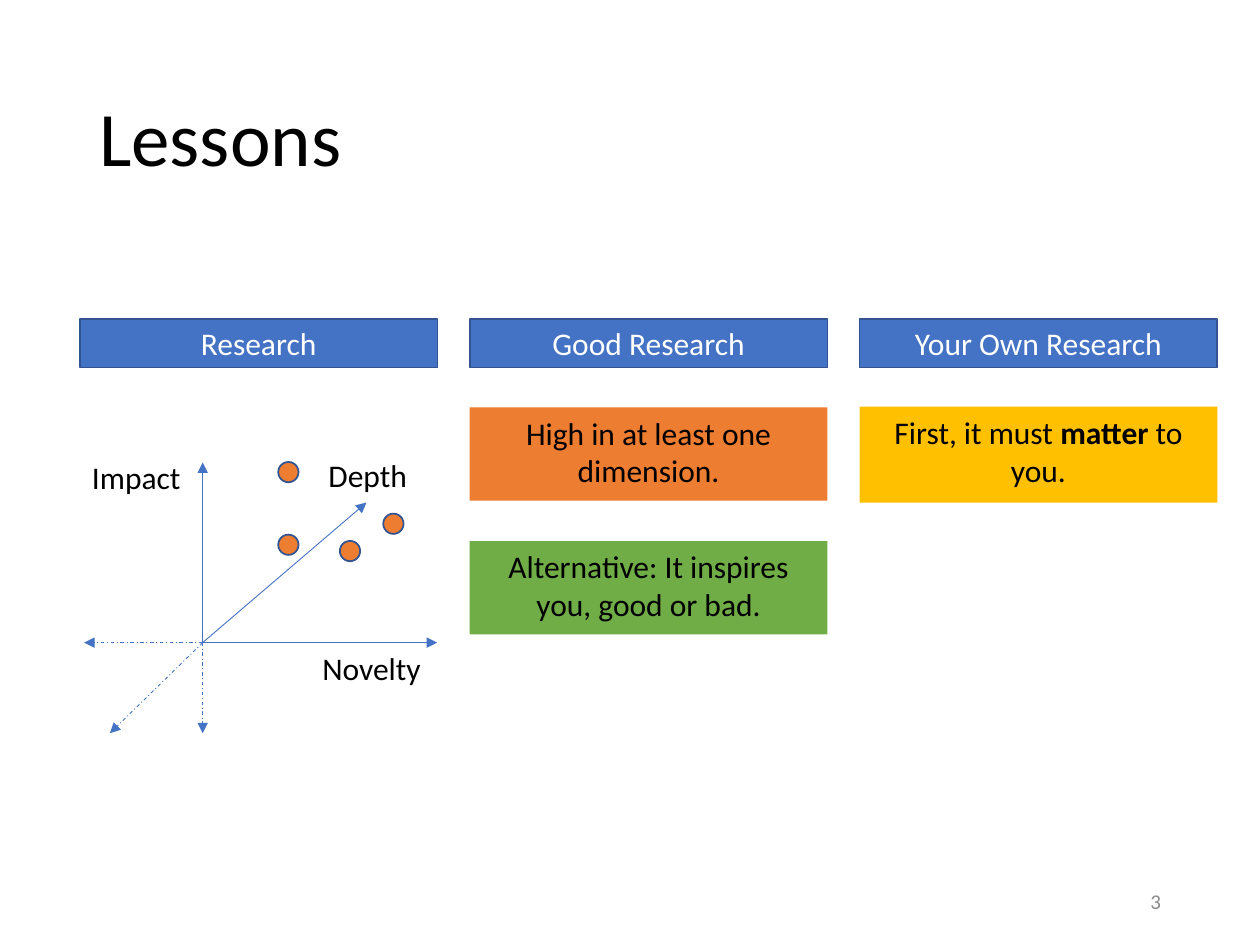
from lxml import etree
from pptx import Presentation
from pptx.dml.color import RGBColor
from pptx.enum import dml, shapes, text
from pptx.oxml import ns
from pptx.util import Pt

BLUE, NAVY, ORANGE = "4472C4", "325491", "ED7D31"
GOLD, GREEN, BLACK = "FFC000", "70AD47", "000000"
MIDDLE, TOP = text.MSO_ANCHOR.MIDDLE, text.MSO_ANCHOR.TOP
LEFT, CENTER, RIGHT = text.PP_ALIGN.LEFT, text.PP_ALIGN.CENTER, text.PP_ALIGN.RIGHT


def write(box, spans, size=18, color=BLACK, align=LEFT, anchor=TOP, wrap=True):
    """Fill a box with one paragraph; every second span is bold."""
    frame = box.text_frame
    frame.word_wrap = wrap
    frame.vertical_anchor = anchor
    para = frame.paragraphs[0]
    para.alignment = align
    for number, words in enumerate(spans):
        span = para.add_run()
        span.text = words
        span.font.name = "Calibri"
        span.font.size = Pt(size)
        span.font.bold = number % 2 == 1
        span.font.color.rgb = RGBColor.from_string(color)
    return para


def add_shape(kind, left, top, width, height, fill, outline=None):
    shape = page.shapes.add_shape(kind, Pt(left), Pt(top), Pt(width), Pt(height))
    shape.shadow.inherit = False
    shape.fill.solid()
    shape.fill.fore_color.rgb = RGBColor.from_string(fill)
    if outline:
        shape.line.color.rgb = RGBColor.from_string(outline)
        shape.line.width = Pt(1)
    else:
        shape.line.fill.background()
    return shape


deck = Presentation()
deck.slide_width, deck.slide_height = Pt(720), Pt(540)
page = deck.slides.add_slide(deck.slide_layouts[5])

title = page.shapes.title
title.left, title.top, title.width, title.height = Pt(49.5), Pt(28.75), Pt(621), Pt(104.4)
write(title, ["Lessons"], size=44, anchor=MIDDLE).line_spacing = 0.9

# Axes: solid in the positive direction, dashed in the negative one
origin = (115.8, 367.2)
axis_ends = [
    (115.8, 264.3, False), (249.8, 367.2, False), (209.4, 287.2, False),
    (62.8, 419, True), (48.1, 367.2, True), (115.8, 419, True),
]
for x, y, dashed in axis_ends:
    axis = page.shapes.add_connector(
        shapes.MSO_CONNECTOR.STRAIGHT, Pt(origin[0]), Pt(origin[1]), Pt(x), Pt(y))
    axis.line.color.rgb = RGBColor.from_string(BLUE)
    axis.line.width = Pt(0.5)
    if dashed:
        axis.line.dash_style = dml.MSO_LINE.DASH_DOT
    etree.SubElement(axis.line._get_or_add_ln(), ns.qn("a:tailEnd"), type="triangle")
    etree.SubElement(axis._element.spPr, ns.qn("a:effectLst"))

axis_labels = [
    ("Novelty", 177.1, 367.2, 72.7),
    ("Impact", 45.5, 258.4, 67),
    ("Depth", 180.6, 257.2, 61.2),
]
for words, left, top, width in axis_labels:
    label = page.shapes.add_textbox(Pt(left), Pt(top), Pt(width), Pt(29))
    write(label, [words], wrap=False)
    label.text_frame.auto_size = text.MSO_AUTO_SIZE.SHAPE_TO_FIT_TEXT

for left, top in [(159, 264), (159, 305.5), (194.2, 309.1), (219, 293.5)]:
    add_shape(shapes.MSO_SHAPE.OVAL, left, top, 11.6, 11.6, ORANGE, NAVY)

# Columns: a heading, then notes as (spans, top, height, fill)
columns = [
    ("Research", []),
    ("Good Research", [
        (["High in at least one dimension."], 232.8, 53.3, ORANGE),
        (["Alternative: It inspires you, good or bad."], 309.3, 53.3, GREEN),
    ]),
    ("Your Own Research", [
        (["First, it must ", "matter", " to you."], 232.4, 54.8, GOLD),
    ]),
]
for index, (heading, notes) in enumerate(columns):
    left = 45.6 + index * 222.8
    header = add_shape(shapes.MSO_SHAPE.RECTANGLE, left, 182.2, 204.5, 27.8, BLUE, NAVY)
    write(header, [heading], color="FFFFFF", align=CENTER, anchor=MIDDLE)
    for spans, top, height, fill in notes:
        note = add_shape(shapes.MSO_SHAPE.RECTANGLE, left, top, 204.5, height, fill)
        write(note, spans, align=CENTER)

page_number = page.shapes.add_textbox(Pt(508.5), Pt(500.5), Pt(162), Pt(28.75))
write(page_number, ["3"], size=12, color="8C8C8C", align=RIGHT, anchor=MIDDLE)

deck.save("out.pptx")
